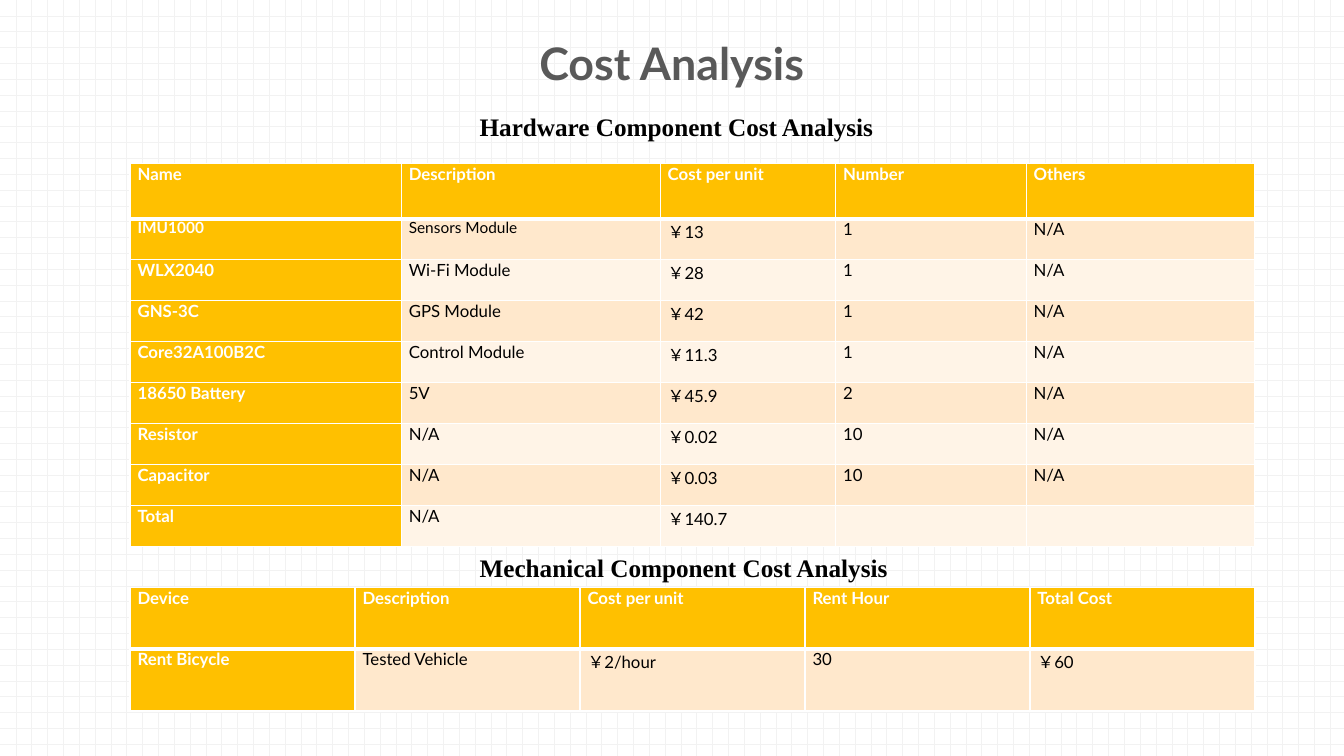
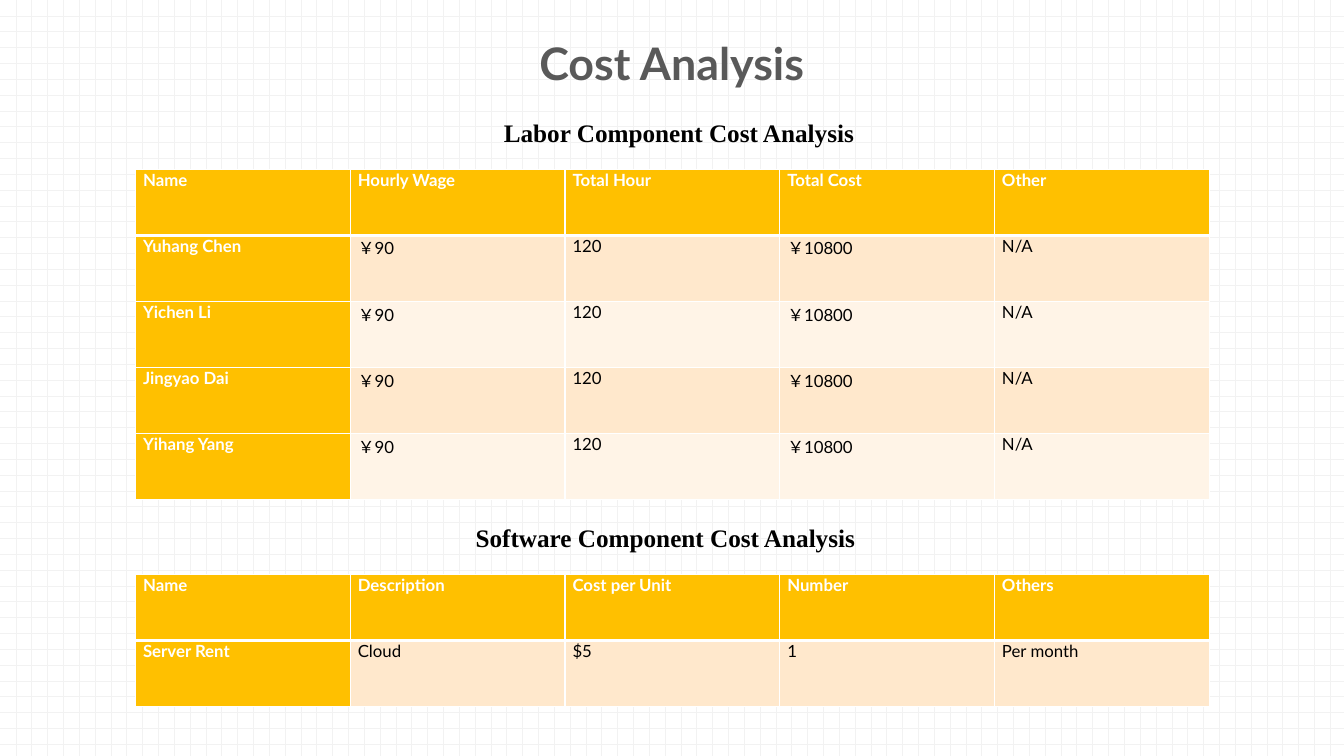
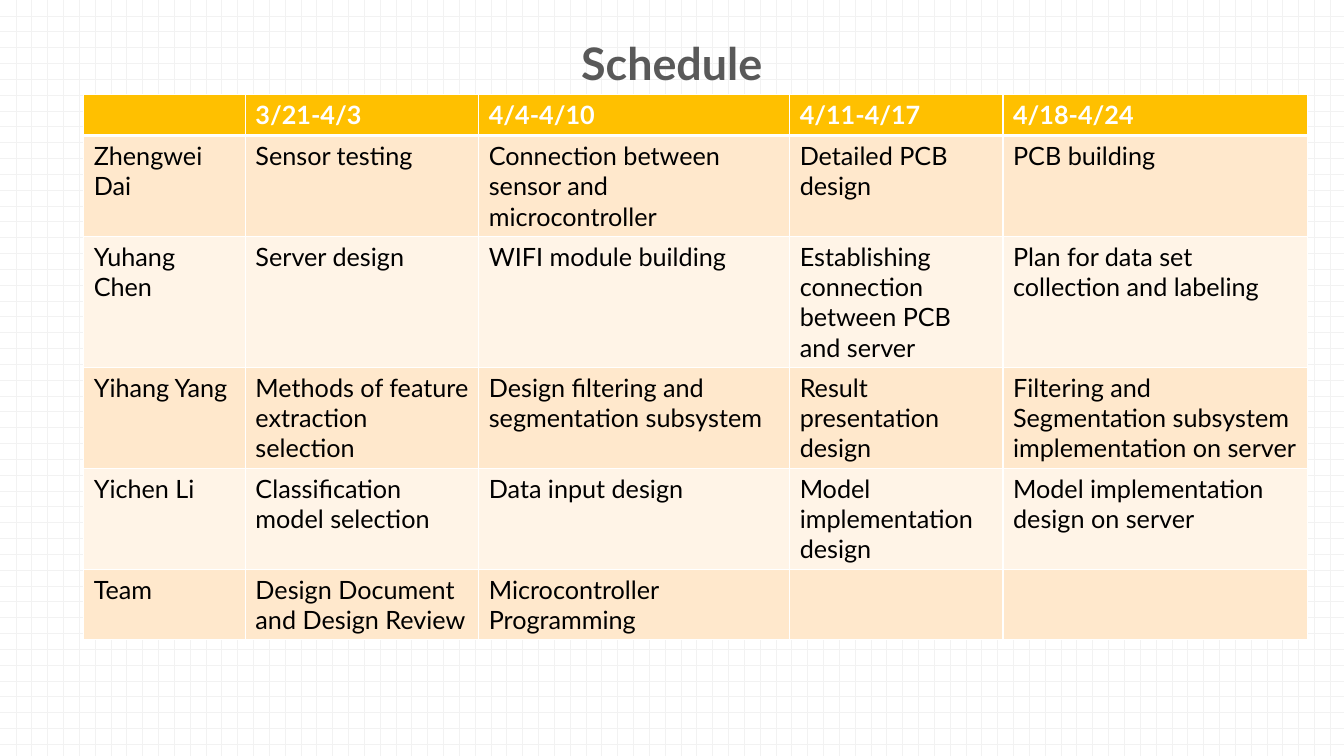
from dataclasses import dataclass

from lxml.etree import SubElement
from pptx import Presentation
from pptx.dml.color import RGBColor
from pptx.enum.dml import MSO_PATTERN
from pptx.enum.text import MSO_ANCHOR, MSO_AUTO_SIZE, PP_ALIGN
from pptx.oxml.ns import qn
from pptx.presentation import Presentation as PresentationType
from pptx.slide import Slide
from pptx.table import _Cell
from pptx.text.text import _Paragraph
from pptx.util import Pt


# Theme
@dataclass(frozen=True)
class Theme:
    font: str = "Lato"
    asian_font: str = "Noto Sans CJK SC"
    heading_font: str = "Times New Roman"
    white: str = "FFFFFF"
    black: str = "000000"
    grid: str = "F2F2F2"
    title: str = "595959"
    header: str = "FFC000"
    bands: tuple[str, str] = ("FFE8CC", "FFF4E7")
    title_size: float = 32
    heading_size: float = 18
    cost_size: float = 12
    small_size: float = 11
    schedule_size: float = 18
    thin: float = 1
    thick: float = 3


THEME = Theme()


# Kinds of content
@dataclass(frozen=True)
class TableStyle:
    size: float
    side_inset: float
    top_inset: float
    alignment: PP_ALIGN
    first_column: bool


COST = TableStyle(THEME.cost_size, 5.4, 0, PP_ALIGN.JUSTIFY, True)
SCHEDULE = TableStyle(THEME.schedule_size, 7.2, 3.6, PP_ALIGN.LEFT, False)


@dataclass(frozen=True)
class Heading:
    text: str
    left: float
    top: float


@dataclass(frozen=True)
class TableBlock:
    left: float
    top: float
    columns: tuple[float, ...]
    heights: tuple[float, ...]
    rows: tuple[tuple[str, ...], ...]
    style: TableStyle = COST
    small_cells: tuple[tuple[int, int], ...] = ()


@dataclass(frozen=True)
class SlideContent:
    title: str
    headings: tuple[Heading, ...]
    tables: tuple[TableBlock, ...]


# Content
SLIDES = (
    SlideContent(
        "Cost Analysis",
        (
            Heading("Hardware Component Cost Analysis", 335.5, 76.3),
            Heading("Mechanical Component Cost Analysis", 335.5, 391),
        ),
        (
            TableBlock(
                92.9, 116.9, (193.7, 185, 125.3, 136.1, 163.4), (39.3,) + (29.3,) * 8,
                (
                    ("Name", "Description", "Cost per unit", "Number", "Others"),
                    ("IMU1000", "Sensors Module", "￥13", "1", "N/A"),
                    ("WLX2040", "Wi-Fi Module", "￥28", "1", "N/A"),
                    ("GNS-3C", "GPS Module", "￥42", "1", "N/A"),
                    ("Core32A100B2C", "Control Module", "￥11.3", "1", "N/A"),
                    ("18650 Battery", "5V", "￥45.9", "2", "N/A"),
                    ("Resistor", "N/A", "￥0.02", "10", "N/A"),
                    ("Capacitor", "N/A", "￥0.03", "10", "N/A"),
                    ("Total", "N/A", "￥140.7", "", ""),
                ),
                small_cells=((1, 0), (1, 1)),
            ),
            TableBlock(
                92.9, 419.8, (160.7,) * 5, (44,) * 2,
                (
                    ("Device", "Description", "Cost per unit", "Rent Hour", "Total Cost"),
                    ("Rent Bicycle", "Tested Vehicle", "￥2/hour", "30", "￥60"),
                ),
            ),
        ),
    ),
    SlideContent(
        "Cost Analysis",
        (
            Heading("Labor Component Cost Analysis", 352.8, 79.9),
            Heading("Software Component Cost Analysis", 332.6, 369.4),
        ),
        (
            TableBlock(
                96.8, 121, (153.4,) * 5, (47.2,) * 5,
                (
                    ("Name", "Hourly Wage", "Total Hour", "Total Cost", "Other"),
                    *(
                        (name, "￥90", "120", "￥10800", "N/A")
                        for name in ("Yuhang Chen", "Yichen Li", "Jingyao Dai", "Yihang Yang")
                    ),
                ),
            ),
            TableBlock(
                96.8, 410.4, (153.4,) * 5, (47.2,) * 2,
                (
                    ("Name", "Description", "Cost per Unit", "Number", "Others"),
                    ("Server Rent", "Cloud", "$5", "1", "Per month"),
                ),
            ),
        ),
    ),
    SlideContent(
        "Schedule",
        (),
        (
            TableBlock(
                59.8, 67.7, (115.5, 166.7, 222.1, 152.4, 217.6),
                (29.2, 72, 93.6, 72, 72, 50.4),
                (
                    ("", "3/21-4/3", "4/4-4/10", "4/11-4/17", "4/18-4/24"),
                    (
                        "Zhengwei Dai",
                        "Sensor testing",
                        "Connection between sensor and microcontroller",
                        "Detailed PCB design",
                        "PCB building",
                    ),
                    (
                        "Yuhang Chen",
                        "Server design",
                        "WIFI module building",
                        "Establishing connection between PCB and server",
                        "Plan for data set collection and labeling",
                    ),
                    (
                        "Yihang Yang",
                        "Methods of feature extraction selection",
                        "Design filtering and segmentation subsystem",
                        "Result presentation design",
                        "Filtering and Segmentation subsystem implementation on server",
                    ),
                    (
                        "Yichen Li",
                        "Classification model selection",
                        "Data input design",
                        "Model implementation design",
                        "Model implementation design on server",
                    ),
                    (
                        "Team",
                        "Design Document and Design Review",
                        "Microcontroller Programming",
                        "",
                        "",
                    ),
                ),
                SCHEDULE,
            ),
        ),
    ),
)


# Drawing
def format_paragraph(
    paragraph: _Paragraph, name: str, size: float, color: str, bold: bool
) -> None:
    font = paragraph.font
    font.name = name
    font.size = Pt(size)
    font.bold = bold
    font.color.rgb = RGBColor.from_string(color)
    properties = paragraph._p.pPr.find(qn("a:defRPr"))
    SubElement(properties, qn("a:ea"), typeface=THEME.asian_font)


def set_borders(cell: _Cell, bottom: float) -> None:
    properties = cell._tc.get_or_add_tcPr()
    widths = {"L": THEME.thin, "R": THEME.thin, "T": THEME.thin, "B": bottom}
    for side, width in widths.items():
        line = SubElement(properties, qn(f"a:ln{side}"), w=str(Pt(width)))
        fill = SubElement(line, qn("a:solidFill"))
        SubElement(fill, qn("a:srgbClr"), val=THEME.white)


def format_cell(cell: _Cell, text: str, row: int, column: int, block: TableBlock) -> None:
    style = block.style
    is_header = row == 0
    is_accent = is_header or (style.first_column and column == 0)
    set_borders(cell, THEME.thick if is_header else THEME.thin)
    cell.fill.solid()
    fill = THEME.header if is_accent else THEME.bands[(row - 1) % 2]
    cell.fill.fore_color.rgb = RGBColor.from_string(fill)
    cell.margin_left = cell.margin_right = Pt(style.side_inset)
    cell.margin_top = cell.margin_bottom = Pt(style.top_inset)
    cell.text = text
    paragraph = cell.text_frame.paragraphs[0]
    paragraph.alignment = style.alignment
    size = THEME.small_size if (row, column) in block.small_cells else style.size
    color = THEME.white if is_accent else THEME.black
    format_paragraph(paragraph, THEME.font, size, color, is_accent)


def add_table_block(slide: Slide, block: TableBlock) -> None:
    table = slide.shapes.add_table(
        len(block.rows), len(block.columns), Pt(block.left), Pt(block.top),
        Pt(sum(block.columns)), Pt(sum(block.heights)),
    ).table
    table.horz_banding = False
    table.first_row = True
    table.first_col = block.style.first_column
    for column, width in zip(table.columns, block.columns):
        column.width = Pt(width)
    for row, height in zip(table.rows, block.heights):
        row.height = Pt(height)
    for row_index, texts in enumerate(block.rows):
        for column_index, text in enumerate(texts):
            cell = table.cell(row_index, column_index)
            format_cell(cell, text, row_index, column_index, block)


def add_heading(slide: Slide, heading: Heading) -> None:
    shape = slide.shapes.add_textbox(Pt(heading.left), Pt(heading.top), Pt(480), Pt(29))
    frame = shape.text_frame
    frame.word_wrap = True
    frame.text = heading.text
    format_paragraph(
        frame.paragraphs[0], THEME.heading_font, THEME.heading_size, THEME.black, True
    )


def set_title(slide: Slide, text: str) -> None:
    shape = slide.shapes.title
    shape.left, shape.top, shape.width, shape.height = Pt(245.2), Pt(25.9), Pt(469.4), Pt(41.8)
    frame = shape.text_frame
    frame.auto_size = MSO_AUTO_SIZE.NONE
    frame.vertical_anchor = MSO_ANCHOR.MIDDLE
    frame.text = text
    paragraph = frame.paragraphs[0]
    paragraph.alignment = PP_ALIGN.CENTER
    paragraph.line_spacing = 0.9
    format_paragraph(paragraph, THEME.font, THEME.title_size, THEME.title, True)


def set_background(presentation: PresentationType) -> None:
    fill = presentation.slide_master.background.fill
    fill.patterned()
    fill.pattern = MSO_PATTERN.DOTTED_GRID
    fill.fore_color.rgb = RGBColor.from_string(THEME.grid)
    fill.back_color.rgb = RGBColor.from_string(THEME.white)


def main() -> None:
    presentation = Presentation()
    presentation.slide_width, presentation.slide_height = Pt(960), Pt(540)
    set_background(presentation)
    title_only = presentation.slide_layouts.get_by_name("Title Only")
    for content in SLIDES:
        slide = presentation.slides.add_slide(title_only)
        set_title(slide, content.title)
        for block in content.tables:
            add_table_block(slide, block)
        for heading in content.headings:
            add_heading(slide, heading)
    presentation.save("out.pptx")


if __name__ == "__main__":
    main()
